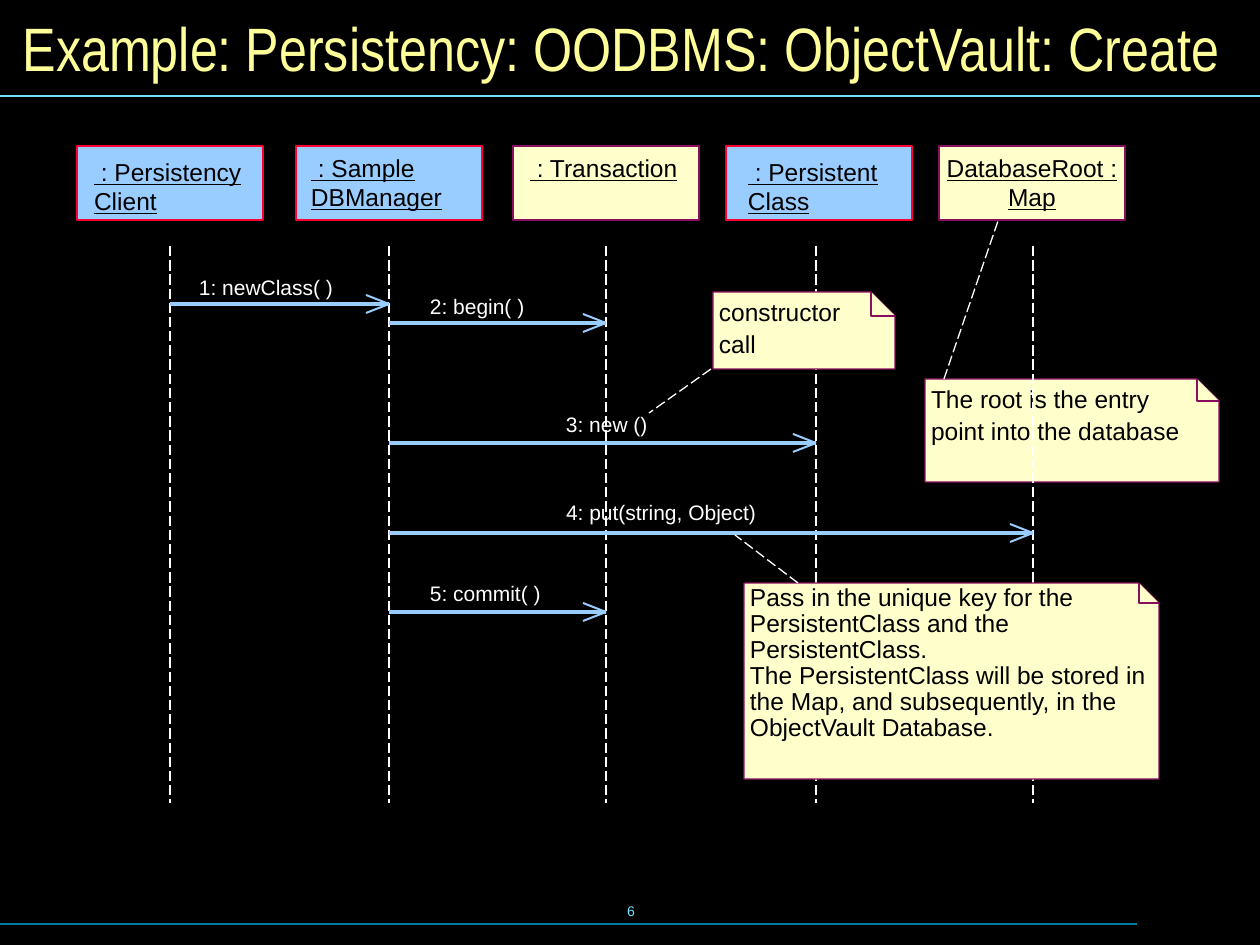
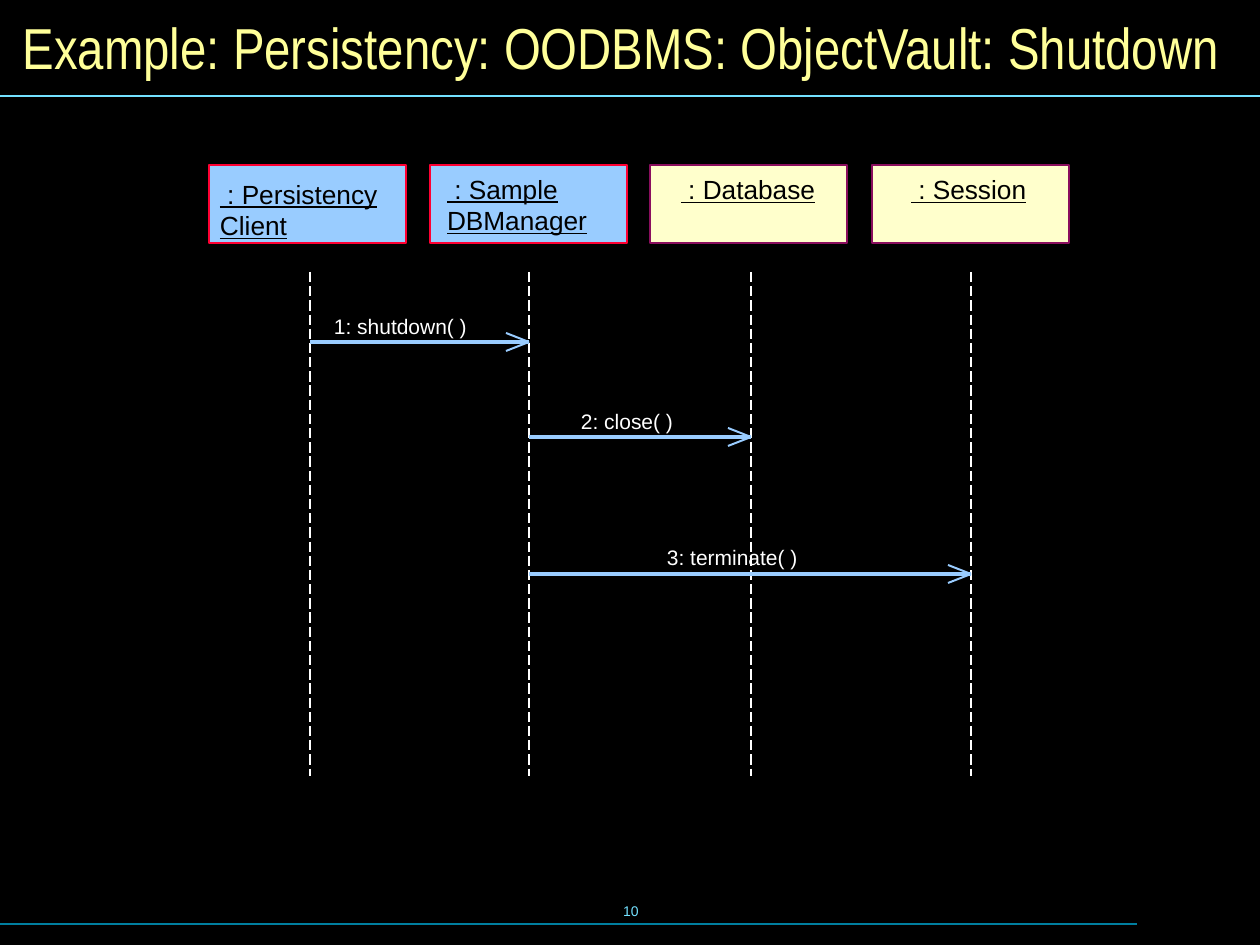
"""Build two sequence diagram slides on object persistency."""
from lxml.etree import SubElement
from pptx import Presentation
from pptx.dml.color import RGBColor as Rgb
from pptx.enum.dml import MSO_LINE as Dash
from pptx.enum.shapes import MSO_CONNECTOR as Link, MSO_SHAPE as Kind
from pptx.enum.text import MSO_ANCHOR as Anchor, MSO_AUTO_SIZE as Fit, PP_ALIGN as Align
from pptx.oxml.ns import qn
from pptx.util import Emu, Inches, Pt

BLACK = Rgb(0x00, 0x00, 0x00)
WHITE = Rgb(0xFF, 0xFF, 0xFF)
BLUE = Rgb(0x99, 0xCC, 0xFF)
CREAM = Rgb(0xFF, 0xFF, 0xCC)
RED = Rgb(0xFF, 0x00, 0x33)
PLUM = Rgb(0x8A, 0x0E, 0x5E)
GOLD = Rgb(0xFF, 0xFF, 0x99)
CYAN = Rgb(0x73, 0xE1, 0xFF)
TEAL = Rgb(0x00, 0x7E, 0x9F)


def px(n):
    """Turn pixels into EMU."""
    return Emu(round(n * 914400 / 126))


def write(frame, text, size=14, color=BLACK, face="Arial", under=False,
          align=Align.LEFT, anchor=Anchor.TOP, pitch=None):
    """Fill a text frame, one paragraph a line."""
    frame.word_wrap = True
    frame.auto_size = Fit.NONE
    frame.vertical_anchor = anchor
    for i, line in enumerate(text.split("\n")):
        para = frame.add_paragraph() if i else frame.paragraphs[0]
        para.alignment = align
        if pitch:
            para.line_spacing = Pt(pitch)
        run = para.add_run()
        run.text = line
        font = run.font
        font.size, font.name = Pt(size), face
        font.color.rgb = color
        font.underline = under


class Sheet:
    """Hold the deck style and the current slide."""

    def __init__(self):
        self.deck = Presentation()
        self.deck.slide_width = Inches(10)
        self.deck.slide_height = Inches(7.5)
        fill = self.deck.slide_master.background.fill
        fill.solid()
        fill.fore_color.rgb = BLACK

    def start(self, title, size, num):
        """Open a slide with its title, rules and number."""
        self.slide = self.deck.slides.add_slide(self.deck.slide_layouts[5])
        self.shapes = self.slide.shapes
        self.lives = []
        head = self.shapes.title
        head.left, head.top, head.width, head.height = map(px, (10, 10, 1240, 73))
        write(head.text_frame, title, size=size, color=GOLD,
              face="Arial Narrow", anchor=Anchor.MIDDLE)
        self.line(0, 924, 1137, 924, TEAL)
        self.line(0, 96, 1260, 96, CYAN)
        self.text(431, 879, 400, num, high=63, size=8, color=CYAN,
                  align=Align.CENTER, anchor=Anchor.MIDDLE)

    def text(self, x, y, wide, words, high=25, **style):
        """Place a text box without margins."""
        box = self.shapes.add_textbox(px(x), px(y), px(wide), px(high))
        frame = box.text_frame
        frame.margin_left = frame.margin_right = 0
        frame.margin_top = frame.margin_bottom = 0
        write(frame, words, **style)

    def line(self, x1, y1, x2, y2, color=WHITE, width=0.75, dash=None):
        """Draw a straight line."""
        link = self.shapes.add_connector(Link.STRAIGHT, px(x1), px(y1), px(x2), px(y2))
        link.line.color.rgb = color
        link.line.width = Pt(width)
        if dash:
            link.line.dash_style = dash
        SubElement(link._element.spPr, qn("a:effectLst"))

    def paint(self, shape, fill, edge):
        """Give a shape its fill and hairline."""
        shape.shadow.inherit = False
        shape.fill.solid()
        shape.fill.fore_color.rgb = fill
        shape.line.color.rgb = edge
        shape.line.width = 0

    def lanes(self, items, y, high, wide, size, top, end):
        """Draw the objects with their lifelines."""
        for x, life, name, left, drop, fill, edge, align in items:
            box = self.shapes.add_shape(Kind.RECTANGLE, px(x), px(y), px(wide), px(high))
            self.paint(box, fill, edge)
            rows = name.count("\n") + 1
            self.text(left, y + drop, x + wide - left, name, high=rows * size * 2.1,
                      size=size, under=True, align=align, pitch=size * 1.2)
            self.line(life, top, life, end, dash=Dash.LONG_DASH)
            self.lives.append(life)

    def call(self, src, dst, y, words, x, top, wide):
        """Draw a message arrow between two lifelines."""
        tip = self.lives[dst]
        self.line(self.lives[src], y, tip, y, BLUE, 0)
        for rise in (9, -9):
            self.line(tip, y, tip - 23, y + rise, BLUE, 1.13)
        self.text(x, top, wide, words, size=12, color=WHITE)

    def outline(self, points, close, fill, edge):
        """Draw a filled outline through the points."""
        first, *rest = [(px(x), px(y)) for x, y in points]
        pen = self.shapes.build_freeform(*first)
        pen.add_line_segments(rest, close=close)
        self.paint(pen.convert_to_shape(), fill, edge)

    def note(self, x, y, wide, high, fold, words, span, pitch):
        """Draw a note with a folded corner."""
        right, low = x + wide, y + high
        bend, turn = (right - fold, y), (right, y + fold)
        self.outline([(x, y), bend, turn, (right, low), (x, low)], True, CREAM, PLUM)
        self.outline([bend, (right - fold, y + fold), turn], False, CREAM, PLUM)
        self.text(x + 6, y + 3, span, words, high=high - 8, pitch=pitch)


def create(sheet):
    """Build the create sequence."""
    sheet.start("Example: Persistency: OODBMS: ObjectVault: Create", 35, "6")
    sheet.note(925, 379, 294, 103, 22,
               "The root is the entry point into the database", 260, 18)
    sheet.lanes([
        (77, 170, " : Persistency\nClient", 94, 11, BLUE, RED, Align.LEFT),
        (296, 389, " : Sample\nDBManager", 311, 7, BLUE, RED, Align.LEFT),
        (513, 606, " : Transaction", 530, 7, CREAM, PLUM, Align.LEFT),
        (726, 816, " : Persistent\nClass", 748, 11, BLUE, RED, Align.LEFT),
        (939, 1033, "DatabaseRoot :\nMap", 939, 7, CREAM, PLUM, Align.CENTER),
    ], y=146, high=74, wide=186, size=14, top=246, end=803)
    sheet.call(0, 1, 304, "1: newClass( )", 199, 275, 140)
    sheet.call(1, 2, 323, "2: begin( )", 430, 294, 100)
    sheet.call(1, 3, 443, "3: new ()", 566, 412, 90)
    sheet.call(1, 2, 612, "5: commit( )", 430, 581, 116)
    sheet.note(713, 292, 182, 77, 24, "constructor call", 140, 18)
    sheet.line(711, 369, 649, 413, dash=Dash.LONG_DASH)
    sheet.call(1, 4, 533, "4: put(string, Object)", 566, 500, 196)
    sheet.note(744, 583, 415, 196, 20,
               "Pass in the unique key for the PersistentClass and the PersistentClass.\n"
               "The PersistentClass will be stored in the Map, and subsequently, "
               "in the ObjectVault Database.", 406, 14.8)
    sheet.line(798, 583, 735, 535, dash=Dash.LONG_DASH)
    sheet.line(944, 379, 998, 221, dash=Dash.LONG_DASH)


def shut(sheet):
    """Build the shutdown sequence."""
    sheet.start("Example: Persistency: OODBMS: ObjectVault: Shutdown", 33, "10")
    sheet.lanes([
        (209, 310, " : Persistency\nClient", 220, 13, BLUE, RED, Align.LEFT),
        (430, 529, " : Sample\nDBManager", 447, 8, BLUE, RED, Align.LEFT),
        (650, 751, " : Database", 681, 8, CREAM, PLUM, Align.LEFT),
        (872, 971, " : Session", 911, 8, CREAM, PLUM, Align.LEFT),
    ], y=165, high=78, wide=197, size=15, top=272, end=776)
    sheet.call(0, 1, 342, "1: shutdown( )", 334, 314, 140)
    sheet.call(1, 3, 574, "3: terminate( )", 667, 545, 138)
    sheet.call(1, 2, 437, "2: close( )", 581, 409, 98)


def main():
    """Build and save the deck."""
    sheet = Sheet()
    create(sheet)
    shut(sheet)
    sheet.deck.save("out.pptx")


if __name__ == "__main__":
    main()
